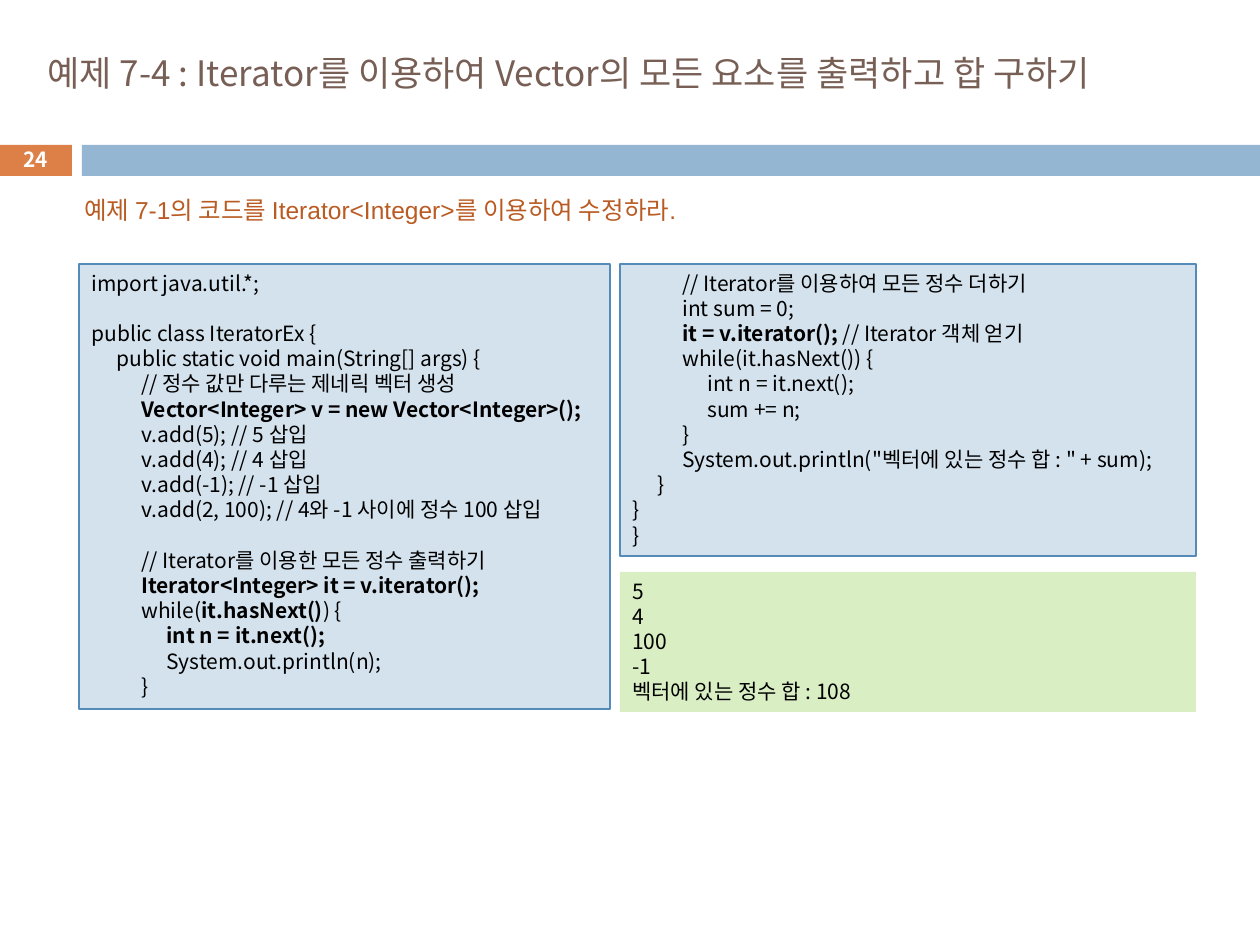
"""Build the Iterator example slide with its code listings and output."""
from dataclasses import dataclass
from typing import Optional

from lxml.etree import SubElement
from pptx import Presentation
from pptx.dml.color import RGBColor as Rgb
from pptx.enum.shapes import MSO_SHAPE as Shape
from pptx.enum.text import MSO_ANCHOR as Anchor, PP_ALIGN as Align
from pptx.oxml.ns import qn
from pptx.util import Pt

SCALE = 914400 / 126
TAB = 25
LINE_PITCH = 14.4
KOREAN = "Noto Sans CJK KR"
COLORS = {
    "title": "775F55", "badge": "DD8047", "band": "94B6D2", "task": "B95B22",
    "code": "D4E2ED", "border": "558BB8", "output": "DAEEC4",
    "black": "000000", "white": "FFFFFF",
}

MAIN_CODE = """import java.util.*;

public class IteratorEx {
\tpublic static void main(String[] args) {
\t\t// 정수 값만 다루는 제네릭 벡터 생성
\t\t|Vector<Integer> v = new Vector<Integer>();|
\t\tv.add(5); // 5 삽입
\t\tv.add(4); // 4 삽입
\t\tv.add(-1); // -1 삽입
\t\tv.add(2, 100); // 4와 -1 사이에 정수 100 삽입

\t\t// Iterator를 이용한 모든 정수 출력하기
\t\t|Iterator<Integer> it = v.iterator();|
\t\twhile(|it.hasNext()|) {
\t\t\t|int n = it.next();|
\t\t\tSystem.out.println(n);
\t\t}"""
SUM_CODE = """\t\t// Iterator를 이용하여 모든 정수 더하기
\t\tint sum = 0;
\t\t|it = v.iterator(); |// Iterator 객체 얻기
\t\twhile(it.hasNext()) {
\t\t\tint n = it.next();
\t\t\tsum += n;
\t\t}
\t\tSystem.out.println("벡터에 있는 정수 합 : " + sum);
\t}
}
}"""
OUTPUT = """5
4
100
-1
벡터에 있는 정수 합 : 108"""


@dataclass(frozen=True)
class Area:
    left: int
    top: int
    width: int
    height: int

    def emu(self) -> list[int]:
        return [px(n) for n in (self.left, self.top, self.width, self.height)]


@dataclass(frozen=True)
class Panel:
    area: Area
    fill: str
    border: Optional[str] = None
    listing: str = ""


@dataclass(frozen=True)
class Label:
    area: Area
    text: str
    size: float
    color: str
    face: str = KOREAN
    bold: bool = False
    align: Align = Align.LEFT
    anchor: Anchor = Anchor.MIDDLE
    wrap: bool = True


PANELS = [
    Panel(Area(-1, 145, 73, 31), "badge"),
    Panel(Area(82, 145, 1178, 31), "band"),
    Panel(Area(79, 264, 531, 445), "code", "border", MAIN_CODE),
    Panel(Area(620, 264, 576, 292), "code", "border", SUM_CODE),
    Panel(Area(620, 572, 576, 140), "output", None, OUTPUT),
]
LABELS = [
    Label(Area(35, 16, 1197, 112),
          "예제 7-4 : Iterator를 이용하여 Vector의 모든 요소를 출력하고 합 구하기", 20, "title"),
    Label(Area(-1, 142, 73, 34), "24", 11.9, "white", bold=True, align=Align.CENTER),
    Label(Area(72, 189, 679, 43),
          "예제 7-1의 코드를 Iterator<Integer>를 이용하여 수정하라.", 14, "task",
          face="Arial", anchor=Anchor.TOP, wrap=False),
]


def px(count: int) -> int:
    return round(count * SCALE)


def rgb(name: str) -> Rgb:
    return Rgb.from_string(COLORS[name])


def apply(target, values: dict) -> None:
    for key, value in values.items():
        setattr(target, key, value)


def add_run(paragraph, text: str, size: float, color: str, face: str, bold: bool) -> None:
    run = paragraph.add_run()
    run.text = text
    apply(run.font, {"size": Pt(size), "name": face, "bold": bold})
    run.font.color.rgb = rgb(color)
    SubElement(run.font._element, qn("a:ea"), typeface=KOREAN)


def add_tabs(paragraph) -> None:
    stops = SubElement(paragraph._p.get_or_add_pPr(), qn("a:tabLst"))
    for step in range(1, 4):
        SubElement(stops, qn("a:tab"), pos=str(px(step * TAB)), algn="l")


def write_listing(frame, listing: str) -> None:
    apply(frame, {"word_wrap": True, "vertical_anchor": Anchor.TOP})
    paragraph, gap = frame.paragraphs[0], 0
    for index, line in enumerate(listing.splitlines()):
        if not line:
            gap += LINE_PITCH
            continue
        if index:
            paragraph = frame.add_paragraph()
        add_tabs(paragraph)
        apply(paragraph, {"alignment": Align.LEFT, "line_spacing": Pt(LINE_PITCH),
                          "space_before": Pt(gap)})
        gap = 0
        for part, text in enumerate(line.split("|")):
            if text:
                add_run(paragraph, text, 12, "black", KOREAN, part % 2 == 1)


def draw_panel(slide, panel: Panel) -> None:
    box = slide.shapes.add_shape(Shape.RECTANGLE, *panel.area.emu())
    box.shadow.inherit = False
    box.fill.solid()
    box.fill.fore_color.rgb = rgb(panel.fill)
    if panel.border:
        box.line.color.rgb = rgb(panel.border)
        box.line.width = Pt(0.75)
    else:
        box.line.fill.background()
    if panel.listing:
        write_listing(box.text_frame, panel.listing)


def draw_label(slide, label: Label) -> None:
    frame = slide.shapes.add_textbox(*label.area.emu()).text_frame
    apply(frame, {"word_wrap": label.wrap, "vertical_anchor": label.anchor})
    paragraph = frame.paragraphs[0]
    paragraph.alignment = label.align
    add_run(paragraph, label.text, label.size, label.color, label.face, label.bold)


def main() -> None:
    deck = Presentation()
    apply(deck, {"slide_width": px(1260), "slide_height": px(945)})
    slide = deck.slides.add_slide(deck.slide_layouts[6])
    for panel in PANELS:
        draw_panel(slide, panel)
    for label in LABELS:
        draw_label(slide, label)
    deck.save("out.pptx")


if __name__ == "__main__":
    main()
